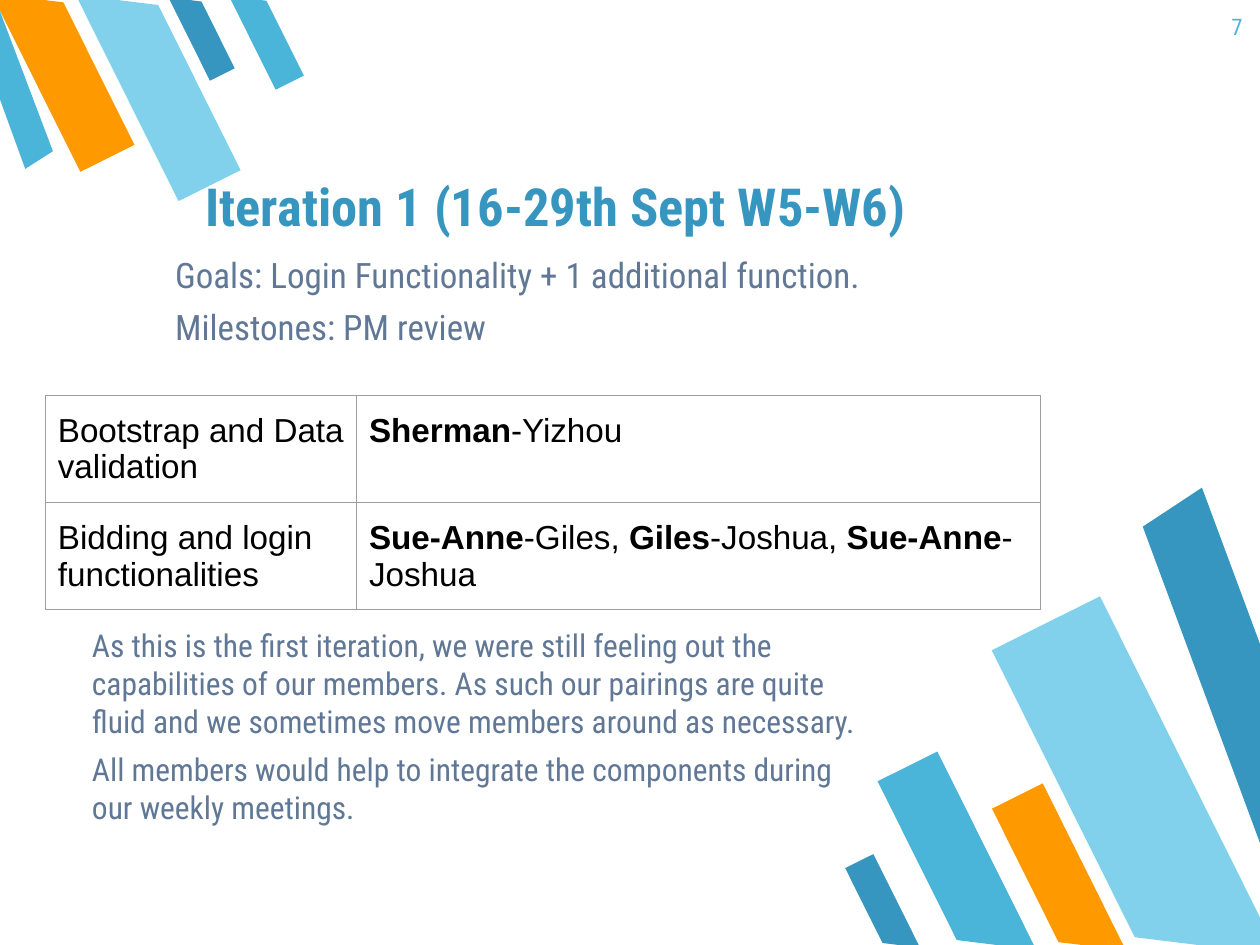
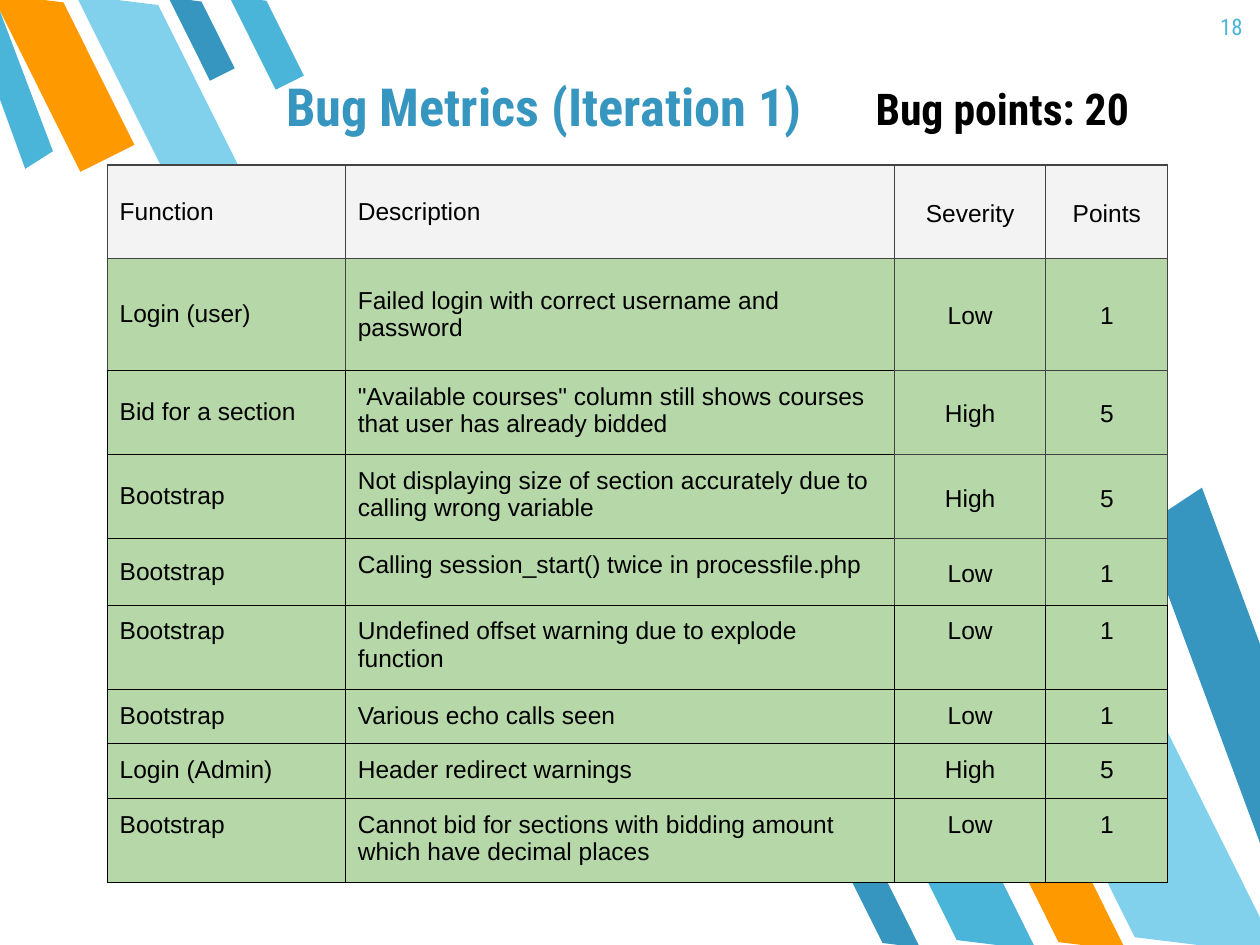
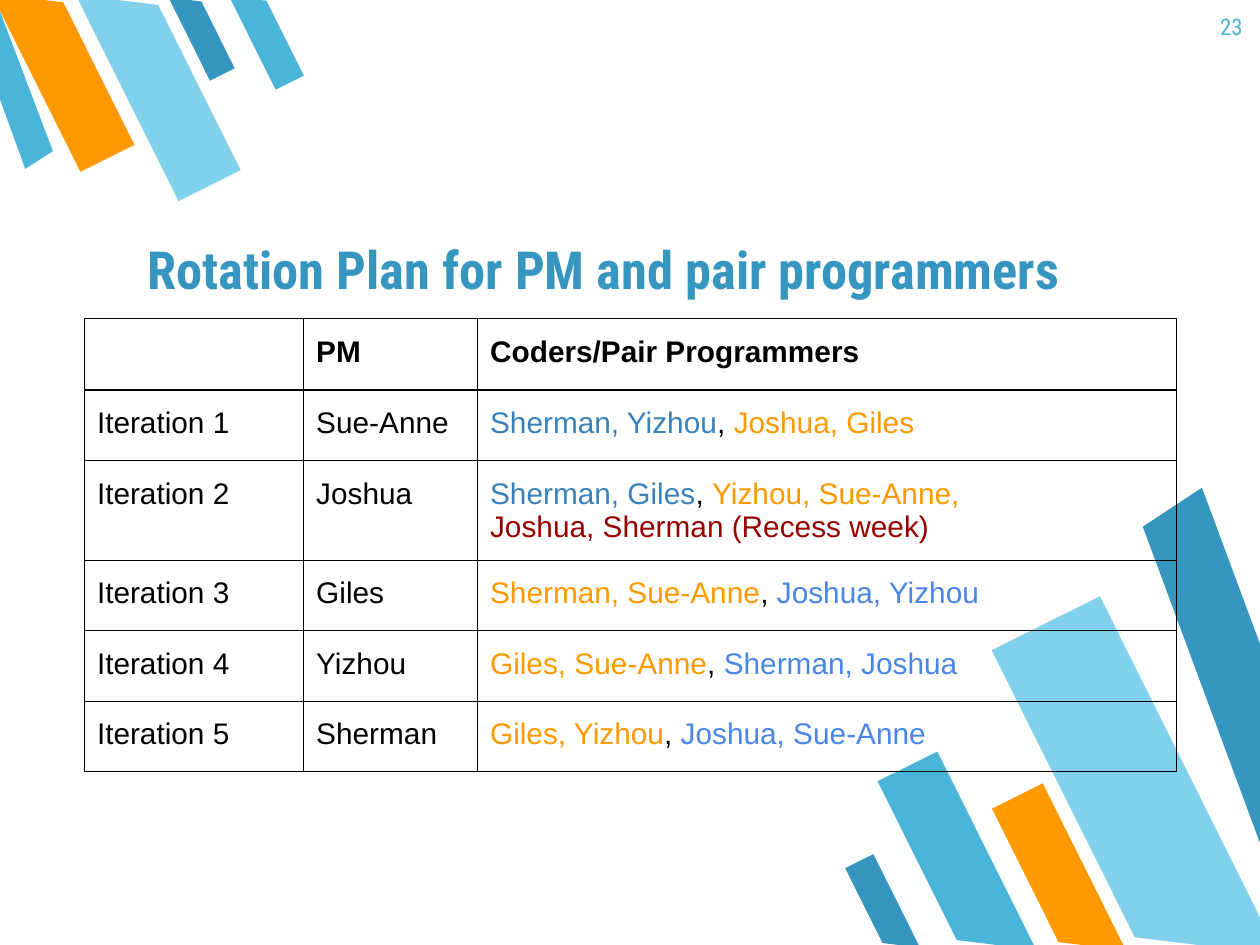
import pptx
import pptx.util
import pptx.dml.color
import pptx.enum.shapes
import pptx.enum.text
import pptx.oxml
import pptx.oxml.ns

Inches = pptx.util.Inches
Pt = pptx.util.Pt
RGB = pptx.dml.color.RGBColor.from_string
ALIGN = pptx.enum.text.PP_ALIGN
ANCHOR = pptx.enum.text.MSO_ANCHOR

COLORS = {
    "blue": "3796BF", "sky": "4BB5D9", "pale": "81D1EC", "orange": "FF9900",
    "slate": "607896", "black": "000000", "dark": "434343", "grey": "9E9E9E",
    "header": "F3F3F3", "green": "B6D7A8",
    "pair_blue": "3A81BA", "pair_violet": "4A86E8", "red": "990000",
}
HEAD_FONT = "Roboto Condensed"
TABLE_FONT = "Arial"


def put_text(tf, paras, font, size, align=ALIGN.LEFT, before=0):
    """Write paragraphs, each a list of (text, colour, bold) runs."""
    for i, runs in enumerate(paras):
        p = tf.add_paragraph() if i else tf.paragraphs[0]
        p.alignment = align
        p.space_before = Pt(before)
        for text, color, bold in runs:
            r = p.add_run()
            r.text = text
            r.font.name = font
            r.font.size = Pt(size)
            r.font.bold = bold
            r.font.color.rgb = RGB(COLORS[color])


def add_grid(slide, left, top, cols, rows, cells, size, line_of, fill_of):
    """Add a table; line_of and fill_of give a colour name for row, column."""
    table = slide.shapes.add_table(
        len(rows), len(cols), Inches(left), Inches(top),
        Inches(sum(cols)), Inches(sum(rows))).table
    table.first_row = table.horz_banding = False
    for c, width in enumerate(cols):
        table.columns[c].width = Inches(width)
    for r, height in enumerate(rows):
        table.rows[r].height = Inches(height)
        for c, content in enumerate(cells[r]):
            cell = table.cell(r, c)
            cell.margin_left = cell.margin_right = Inches(0.1)
            cell.margin_top = cell.margin_bottom = Inches(0.13)
            if isinstance(content, str):
                content = [[(content, "black", False)]]
            put_text(cell.text_frame, content, TABLE_FONT, size)
            for side in "LRTB":
                cell._tc.get_or_add_tcPr().append(pptx.oxml.parse_xml(
                    f'<a:ln{side} {pptx.oxml.ns.nsdecls("a")} w="9525"><a:solidFill>'
                    f'<a:srgbClr val="{COLORS[line_of(r, c)]}"/></a:solidFill></a:ln{side}>'))
            fill = fill_of(r, c)
            if fill:
                cell.fill.solid()
                cell.fill.fore_color.rgb = RGB(COLORS[fill])
            else:
                cell.fill.background()
    return table


prs = pptx.Presentation()
prs.slide_width = Inches(10)
prs.slide_height = Inches(7.5)

# Slides with title and page number: layout, title, title box, number
PAGES = [
    (3, "Iteration 1 (16-29th Sept W5-W6)", (1.53, 0.99, 6.3, 0.99), "7"),
    (5, "Bug Metrics (Iteration 1)", (2.17, 0.2, 6.3, 0.99), "18"),
    (5, "Rotation Plan for PM and pair programmers", (1.07, 1.49, 8.21, 0.99), "23"),
]
slides = []
for layout, title, box, number in PAGES:
    s = prs.slides.add_slide(prs.slide_layouts[layout])
    slides.append(s)
    sp = s.shapes.title
    sp.left, sp.top, sp.width, sp.height = map(Inches, box)
    num = s.shapes.add_textbox(Inches(9.36), Inches(0), Inches(0.6), Inches(0.57))
    put_text(sp.text_frame, [[(title, "blue", True)]], HEAD_FONT, 30)
    put_text(num.text_frame, [[(number, "sky", False)]], HEAD_FONT, 13, ALIGN.RIGHT)
    sp.text_frame.vertical_anchor = ANCHOR.BOTTOM
    for tf in (sp.text_frame, num.text_frame):
        tf.word_wrap = True
        tf.auto_size = pptx.enum.text.MSO_AUTO_SIZE.NONE
        tf.margin_left = tf.margin_right = tf.margin_top = tf.margin_bottom = Inches(0.1)
iteration, bugs, rotation = slides

# Slanted stripes in two corners, kept on the slide master
STRIPES = [
    (7.33, 5.99, 0.53, 1.76, 153.5, "sky"),
    (8.53, 4.78, 0.96, 3.18, 153.5, "pale"),
    (8.18, 6.24, 0.45, 1.48, 153.5, "orange"),
    (6.88, 6.79, 0.25, 0.83, 153.5, "blue"),
    (1.49, -0.11, 0.22, 0.74, 333.5, "blue"),
    (0.26, -0.24, 0.48, 1.58, 333.5, "orange"),
    (0.98, -0.26, 0.55, 1.83, 333.5, "pale"),
    (1.99, -0.13, 0.25, 0.83, 333.5, "sky"),
]
EDGE_STRIPES = [
    ([(9.54, 3.87), (9.07, 4.18), (10, 6.69), (10, 5.11)], "blue"),
    ([(0.2, 1.34), (0.42, 1.2), (0, 0.09), (0, 0.79)], "sky"),
]
stripes = []
for left, top, width, height, angle, color in STRIPES:
    sp = iteration.shapes.add_shape(
        pptx.enum.shapes.MSO_SHAPE.FLOWCHART_MANUAL_INPUT,
        Inches(left), Inches(top), Inches(width), Inches(height))
    sp.rotation = angle
    sp.element.spPr.find(pptx.oxml.ns.qn("a:xfrm")).set("flipH", "1")
    stripes.append((sp, color))
for points, color in EDGE_STRIPES:
    points = [(Inches(x), Inches(y)) for x, y in points]
    builder = iteration.shapes.build_freeform(*points[0])
    builder.add_line_segments(points[1:], close=True)
    stripes.append((builder.convert_to_shape(), color))
for sp, color in stripes:
    sp.shadow.inherit = False
    sp.fill.solid()
    sp.fill.fore_color.rgb = RGB(COLORS[color])
    sp.line.fill.background()
    prs.slide_master.shapes.element.append(sp.element)

# Iteration 1: goals, pairings and remarks
NOTES = [
    (1, (1.29, 1.91, 6.3, 1.2), 20, [
        "Goals: Login Functionality + 1 additional function.",
        "Milestones: PM review"]),
    (2, (0.63, 4.87, 6.3, 2.51), 18, [
        "As this is the first iteration, we were still feeling out the capabilities of our "
        "members. As such our pairings are quite fluid and we sometimes move members around "
        "as necessary.",
        "All members would help to integrate the components during our weekly meetings."]),
]
for idx, box, size, lines in NOTES:
    sp = iteration.placeholders[idx]
    sp.left, sp.top, sp.width, sp.height = map(Inches, box)
    tf = sp.text_frame
    tf.margin_left = tf.margin_right = tf.margin_top = tf.margin_bottom = Inches(0.1)
    tf.auto_size = pptx.enum.text.MSO_AUTO_SIZE.NONE
    put_text(tf, [[(text, "slate", False)] for text in lines], HEAD_FONT, size, before=6)
    for p in tf.paragraphs:
        pPr = p._p.get_or_add_pPr()
        pPr.set("marL", "0")
        pPr.set("indent", "0")
        pPr.append(pptx.oxml.parse_xml(f'<a:buNone {pptx.oxml.ns.nsdecls("a")}/>'))

PAIRINGS = [
    ["Bootstrap and Data validation",
     [[("Sherman", "black", True), ("-Yizhou", "black", False)]]],
    ["Bidding and login functionalities",
     [[("Sue-Anne", "black", True), ("-Giles, ", "black", False),
       ("Giles", "black", True), ("-Joshua, ", "black", False),
       ("Sue-Anne", "black", True), ("-Joshua", "black", False)]]],
]
add_grid(iteration, 0.36, 3.14, [2.47, 5.43], [0.85, 0.85], PAIRINGS, 19,
         lambda r, c: "grey", lambda r, c: None)

# Bug metrics: score and table
sp = bugs.shapes.add_textbox(Inches(6.85), Inches(0.55), Inches(3.09), Inches(0.99))
tf = sp.text_frame
tf.word_wrap = True
tf.margin_left = tf.margin_right = tf.margin_top = tf.margin_bottom = Inches(0.1)
put_text(tf, [[("Bug points: 20", "black", True)]], HEAD_FONT, 25)

BUGS = [
    ("Function", "Description", "Severity", "Points"),
    ("Login (user)", "Failed login with correct username and password", "Low", "1"),
    ("Bid for a section",
     '"Available courses" column still shows courses that user has already bidded', "High", "5"),
    ("Bootstrap",
     "Not displaying size of section accurately due to calling wrong variable", "High", "5"),
    ("Bootstrap", "Calling session_start() twice in processfile.php", "Low", "1"),
    ("Bootstrap", "Undefined offset warning due to explode function", "Low", "1"),
    ("Bootstrap", "Various echo calls seen", "Low", "1"),
    ("Login (Admin)", "Header redirect warnings", "High", "5"),
    ("Bootstrap",
     "Cannot bid for sections with bidding amount which have decimal places", "Low", "1"),
]
table = add_grid(
    bugs, 0.85, 1.31, [1.89, 4.36, 1.2, 0.97],
    [0.74, 0.89, 0.64, 0.64, 0.52, 0.64, 0.42, 0.42, 0.64], BUGS, 14,
    lambda r, c: "dark" if r < 2 or (r < 5 and c > 1) else "black",
    lambda r, c: "green" if r else "header")
for r in range(len(BUGS)):
    for c in range(4):
        cell = table.cell(r, c)
        p = cell.text_frame.paragraphs[0]
        if c > 1:
            p.alignment = ALIGN.CENTER
            if r < 5:
                p.line_spacing = 1.15
        if r < 2 or (r < 5 and c != 1):
            cell.vertical_anchor = ANCHOR.MIDDLE
        else:
            cell.margin_top = cell.margin_bottom = Inches(0.1)

# Rotation plan: manager and colour-coded pairs per iteration
PLAN = [
    ("Sue-Anne", [[("Sherman, Yizhou", "pair_blue"), (", ", "black"),
                   ("Joshua, Giles", "orange")]]),
    ("Joshua", [[("Sherman, Giles", "pair_blue"), (", ", "black"),
                 ("Yizhou, Sue-Anne,", "orange")],
                [("Joshua, Sherman (Recess week)", "red")]]),
    ("Giles", [[("Sherman, Sue-Anne", "orange"), (", ", "black"),
                ("Joshua, Yizhou", "pair_violet")]]),
    ("Yizhou", [[("Giles, Sue-Anne", "orange"), (", ", "black"),
                 ("Sherman, Joshua", "pair_violet")]]),
    ("Sherman", [[("Giles, Yizhou", "orange"), (", ", "black"),
                  ("Joshua, Sue-Anne", "pair_violet")]]),
]
cells = [[[], [[("PM", "black", True)]], [[("Coders/Pair Programmers", "black", True)]]]]
for i, (manager, pairs) in enumerate(PLAN, 1):
    coders = [[(text, color, False) for text, color in line] for line in pairs]
    cells.append([f"Iteration {i}", manager, coders])
add_grid(rotation, 0.67, 2.53, [1.74, 1.38, 5.55],
         [0.56, 0.56, 0.79, 0.56, 0.56, 0.56], cells, 17,
         lambda r, c: "black", lambda r, c: None)

prs.save("out.pptx")
